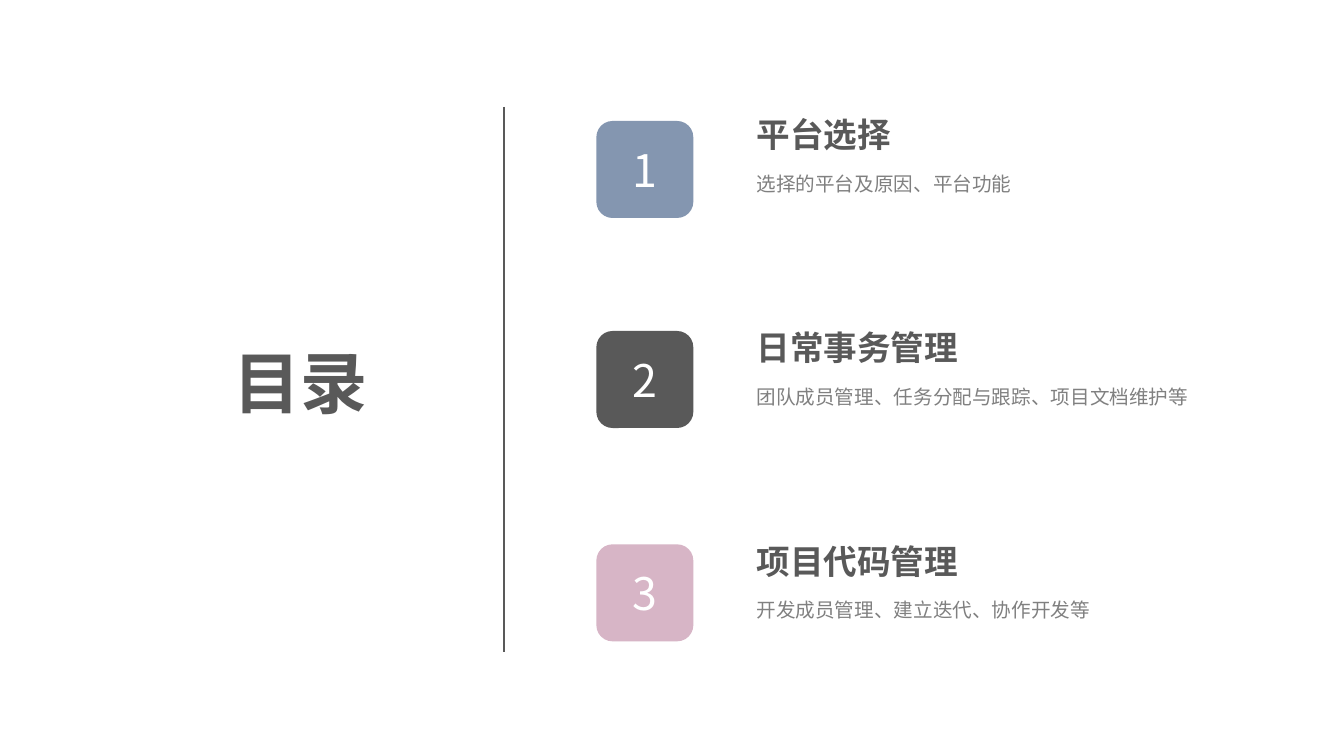
from dataclasses import dataclass
from lxml import etree
from pptx import Presentation
from pptx.dml.color import RGBColor
from pptx.enum.shapes import MSO_CONNECTOR, MSO_SHAPE
from pptx.enum.text import MSO_ANCHOR, PP_ALIGN
from pptx.oxml.ns import qn
from pptx.util import Pt

LINE = MSO_CONNECTOR.STRAIGHT
ROUND = MSO_SHAPE.ROUNDED_RECTANGLE
TOP, MIDDLE, BOTTOM = MSO_ANCHOR.TOP, MSO_ANCHOR.MIDDLE, MSO_ANCHOR.BOTTOM
LEFT, CENTER = PP_ALIGN.LEFT, PP_ALIGN.CENTER


@dataclass(frozen=True)
class Theme:
    font: str = "Noto Sans CJK SC"
    dark: str = "595959"
    gray: str = "808080"
    white: str = "FFFFFF"
    blue: str = "8496B0"
    pink: str = "D7B5C6"
    title: int = 48
    digit: int = 32
    head: int = 24
    note: int = 14


theme = Theme()


def write(shape, text, size, color, bold=False, align=LEFT, anchor=TOP, space=1.0):
    """Fill a shape's text frame with one styled run."""
    frame = shape.text_frame
    frame.word_wrap = True
    frame.vertical_anchor = anchor
    para = frame.paragraphs[0]
    para.alignment = align
    para.line_spacing = space
    run = para.add_run()
    run.text = text
    font = run.font
    font.size = Pt(size)
    font.bold = bold
    font.color.rgb = RGBColor.from_string(color)
    font.name = theme.font
    # Chinese glyphs take the East Asian font slot
    etree.SubElement(run._r.get_or_add_rPr(), qn("a:ea"), typeface=theme.font)


def add_text(shapes, left, top, width, height, *args, **style):
    box = shapes.add_textbox(Pt(left), Pt(top), Pt(width), Pt(height))
    write(box, *args, **style)


deck = Presentation()
deck.slide_width, deck.slide_height = Pt(960.48), Pt(540)
slide = deck.slides.add_slide(deck.slide_layouts[6])

rule = slide.shapes.add_connector(LINE, Pt(360), Pt(76.3), Pt(360), Pt(465.8))
rule.line.color.rgb = RGBColor.from_string(theme.dark)
rule.line.width = Pt(1.25)
etree.SubElement(rule._element.spPr, qn("a:effectLst"))

add_text(slide.shapes, 45.4, 240.5, 339, 65.5, "目录",
         theme.title, theme.dark, bold=True, align=CENTER)

# Badge top, badge color, heading, note
items = [
    (86.4, theme.blue, "平台选择", "选择的平台及原因、平台功能"),
    (236.4, theme.dark, "日常事务管理", "团队成员管理、任务分配与跟踪、项目文档维护等"),
    (388.8, theme.pink, "项目代码管理", "开发成员管理、建立迭代、协作开发等"),
]
FIRST, PITCH = 85, 152.3
TEXT_X, TEXT_W = 533.5, 330.5
SIDE = 69.3

for i, (top, color, head, note) in enumerate(items):
    group = slide.shapes.add_group_shape().shapes
    badge = group.add_shape(ROUND, Pt(426.2), Pt(top), Pt(SIDE), Pt(SIDE))
    badge.adjustments[0] = 0.167
    badge.shadow.inherit = False
    badge.fill.solid()
    badge.fill.fore_color.rgb = RGBColor.from_string(color)
    badge.line.fill.background()
    write(badge, str(i + 1), theme.digit, theme.white, align=CENTER, anchor=MIDDLE)

    y = FIRST + i * PITCH
    add_text(group, TEXT_X, y, TEXT_W, 28.8, head,
             theme.head, theme.dark, bold=True, anchor=BOTTOM)
    add_text(group, TEXT_X, y + 32.4, TEXT_W, 54.7, note,
             theme.note, theme.gray, space=1.1)

deck.save("out.pptx")
